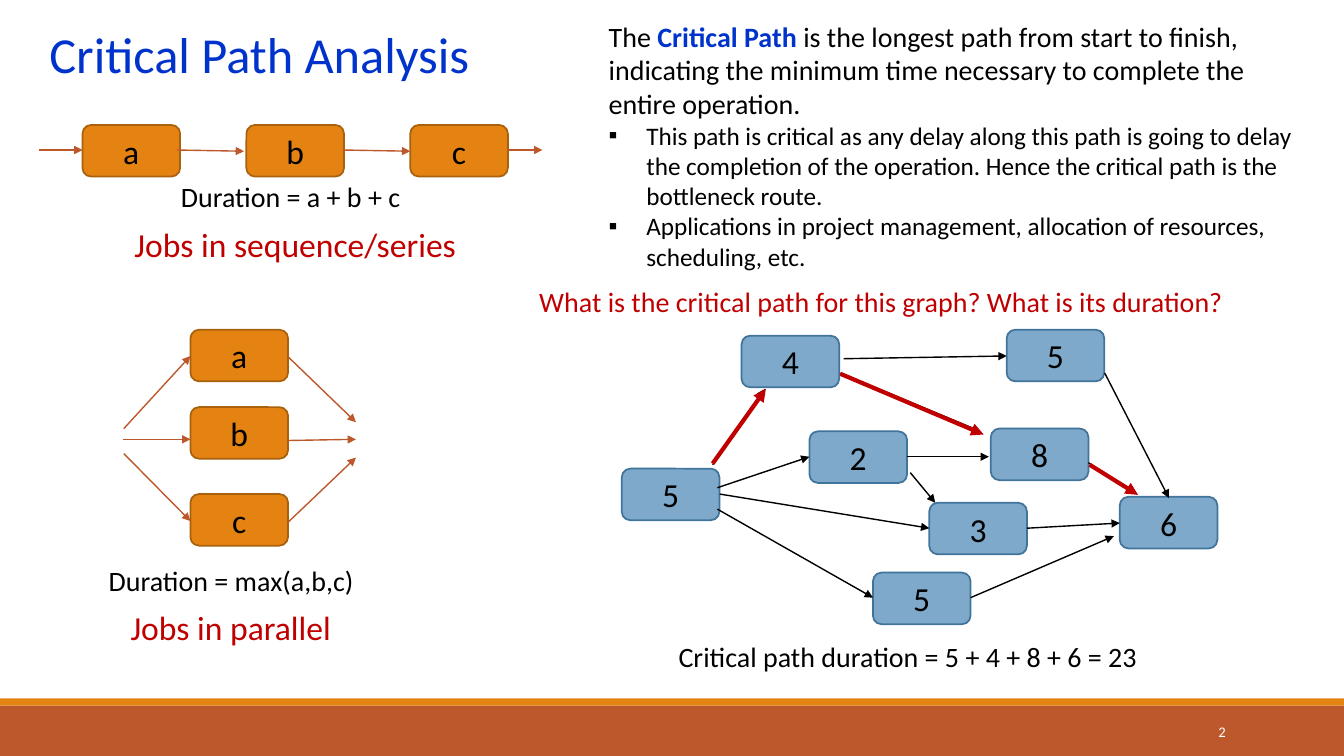
from lxml.etree import SubElement
from pptx import Presentation
from pptx.dml.color import RGBColor
from pptx.enum.shapes import MSO_CONNECTOR, MSO_SHAPE
from pptx.enum.text import MSO_ANCHOR, PP_ALIGN
from pptx.oxml.ns import qn
from pptx.util import Cm, Pt

COLORS = {
    "black": "000000", "white": "FFFFFF", "blue": "0033CC", "red": "C00000",
    "orange": "E48312", "orange_edge": "A9610D", "rust": "BD582C",
    "steel": "7EA9CA", "steel_edge": "40749B",
}
NODE_WIDTH, NODE_HEIGHT = 2.46, 1.3


def color(name):
    """Return the named palette colour."""
    return RGBColor.from_string(COLORS[name])


def write(paragraph, text, size=20, ink="black", bold=False, align=PP_ALIGN.LEFT):
    """Append a formatted run to a paragraph."""
    paragraph.alignment = align
    run = paragraph.add_run()
    run.text = text
    run.font.name = "Calibri"
    run.font.size = Pt(size)
    run.font.bold = bold
    run.font.color.rgb = color(ink)


class Board:
    """Draws styled elements on the current slide."""

    def __init__(self, slide):
        """Keep the slide to draw on."""
        self.slide = slide

    def title(self, text, left, top, width, height):
        """Place and format the title."""
        heading = self.slide.shapes.title
        heading.left, heading.top = Cm(left), Cm(top)
        heading.width, heading.height = Cm(width), Cm(height)
        frame = heading.text_frame
        frame.vertical_anchor = MSO_ANCHOR.TOP
        write(frame.paragraphs[0], text, size=36, ink="blue")

    def shape(self, kind, left, top, width, height, fill, edge=None):
        """Add a filled preset shape."""
        shape = self.slide.shapes.add_shape(kind, Cm(left), Cm(top), Cm(width), Cm(height))
        shape.shadow.inherit = False
        shape.fill.solid()
        shape.fill.fore_color.rgb = color(fill)
        if edge:
            shape.line.color.rgb = color(edge)
            shape.line.width = Pt(1.25)
        else:
            shape.line.fill.background()
        return shape

    def node(self, label, left, top, fill):
        """Add a labelled job box."""
        job = self.shape(MSO_SHAPE.ROUNDED_RECTANGLE, left, top,
                         NODE_WIDTH, NODE_HEIGHT, fill, fill + "_edge")
        frame = job.text_frame
        frame.margin_top = frame.margin_bottom = 0
        frame.vertical_anchor = MSO_ANCHOR.MIDDLE
        write(frame.paragraphs[0], label, size=24, align=PP_ALIGN.CENTER)

    def arrow(self, start_x, start_y, end_x, end_y, ink="black", weight=1):
        """Add a straight arrow."""
        arrow = self.slide.shapes.add_connector(
            MSO_CONNECTOR.STRAIGHT, Cm(start_x), Cm(start_y), Cm(end_x), Cm(end_y))
        arrow.line.color.rgb = color(ink)
        arrow.line.width = Pt(weight)
        SubElement(arrow.line._get_or_add_ln(), qn("a:tailEnd"), type="triangle")
        SubElement(arrow._element.spPr, qn("a:effectLst"))

    def text_frame(self, left, top, width, height):
        """Add an empty wrapping text box and return its frame."""
        box = self.slide.shapes.add_textbox(Cm(left), Cm(top), Cm(width), Cm(height))
        box.text_frame.word_wrap = True
        return box.text_frame

    def caption(self, text, left, top, width, height, **style):
        """Add a single line of text."""
        frame = self.text_frame(left, top, width, height)
        write(frame.paragraphs[0], text, **style)
        return frame

    def bullet(self, frame, text):
        """Append a square-bulleted paragraph."""
        paragraph = frame.add_paragraph()
        write(paragraph, text, size=18)
        properties = paragraph._p.get_or_add_pPr()
        indent = Cm(0.95)
        properties.set("marL", str(indent))
        properties.set("indent", str(-indent))
        SubElement(properties, qn("a:buFont"), typeface="Arial")
        SubElement(properties, qn("a:buChar"), char="▪")


prs = Presentation()
prs.slide_width, prs.slide_height = Cm(33.87), Cm(19.05)
board = Board(prs.slides.add_slide(prs.slide_layouts[5]))
centered = {"align": PP_ALIGN.CENTER}
heading_style = {"size": 24, "ink": "red", **centered}

board.shape(MSO_SHAPE.RECTANGLE, 0, 17.78, 33.87, 1.27, "rust")
board.shape(MSO_SHAPE.RECTANGLE, 0, 17.6, 33.87, 0.18, "orange")
page_number = board.caption("2", 27.51, 17.93, 3.63, 1.02, size=10.5, ink="white",
                            align=PP_ALIGN.RIGHT)
page_number.vertical_anchor = MSO_ANCHOR.MIDDLE
board.title("Critical Path Analysis", 0.99, 0.46, 13.28, 1.8)

network_jobs = [
    ("5", 15.67, 11.81), ("4", 18.69, 8.46), ("5", 25.37, 8.31), ("2", 20.4, 10.87),
    ("8", 24.97, 10.8), ("5", 22, 14.43), ("6", 28.22, 12.52), ("3", 23.42, 12.67),
]
network_links = [
    (17.96, 11.71, 19.28, 9.8), (21.26, 9.04, 25.37, 8.97),
    (18.08, 12.29, 20.4, 11.51), (18.08, 12.83, 22, 15.06),
    (21.18, 9.4, 24.71, 10.87), (22.86, 11.51, 24.92, 11.51),
    (24.46, 15.06, 28.07, 13.51), (27.84, 9.4, 29.46, 12.55),
    (27.43, 11.66, 28.65, 12.45), (22.94, 11.91, 23.57, 12.67),
    (25.88, 13.31, 28.22, 13.18), (18.14, 12.45, 23.42, 13.31),
]
critical_links = [
    (17.96, 11.68, 19.3, 9.8), (21.18, 9.42, 24.79, 10.95), (27.46, 11.71, 28.68, 12.47),
]
for label, left, top in network_jobs:
    board.node(label, left, top, "steel")
for link in network_links:
    board.arrow(*link)
for link in critical_links:
    board.arrow(*link, ink="red", weight=3)

parallel_tops = (8.31, 10.26, 12.45)
for index, (label, parallel_top) in enumerate(zip("abc", parallel_tops)):
    board.node(label, 2.08 + 4.13 * index, 3.15, "orange")
    board.node(label, 4.8, parallel_top, "orange")

series_links = [
    (0.99, 3.78, 2.08, 3.78), (4.45, 3.78, 6.15, 3.81),
    (8.64, 3.78, 10.34, 3.81), (12.8, 3.78, 13.67, 3.78),
]
parallel_links = [
    (3.12, 10.8, 4.8, 8.97), (3.1, 11.07, 4.8, 11.07), (3.12, 11.43, 4.8, 13.13),
    (7.26, 8.99, 8.97, 10.64), (7.26, 11.1, 8.97, 11.07), (7.26, 13.16, 8.97, 11.53),
]
for link in series_links + parallel_links:
    board.arrow(*link, ink="rust")

board.caption("Duration = a + b + c", 3.35, 4.39, 7.95, 1.12, **centered)
board.caption("Jobs in sequence/series", 2.08, 5.51, 10.72, 1.27, **heading_style)
board.caption("Duration = max(a,b,c)", 1.85, 14.07, 7.95, 1.12, **centered)
board.caption("Jobs in parallel", 2.36, 15.16, 6.91, 1.27, **heading_style)
board.caption("Critical path duration = 5 + 4 + 8 + 6 = 23", 16.76, 16, 12.24, 1.12, **centered)
board.caption("What is the critical path for this graph? What is its duration?",
              13.34, 7.04, 18.69, 1.12, ink="red")

definition = board.text_frame(15.09, 0.36, 17.96, 6.68)
opening = definition.paragraphs[0]
write(opening, "The ")
write(opening, "Critical Path ", ink="blue", bold=True)
write(opening, "is the longest path from start to finish, indicating the minimum time "
               "necessary to complete the entire operation.")
board.bullet(definition, "This path is critical as any delay along this path is going to delay "
                         "the completion of the operation. Hence the critical path is the "
                         "bottleneck route.")
board.bullet(definition, "Applications in project management, allocation of resources, "
                         "scheduling, etc.")

prs.save("out.pptx")
